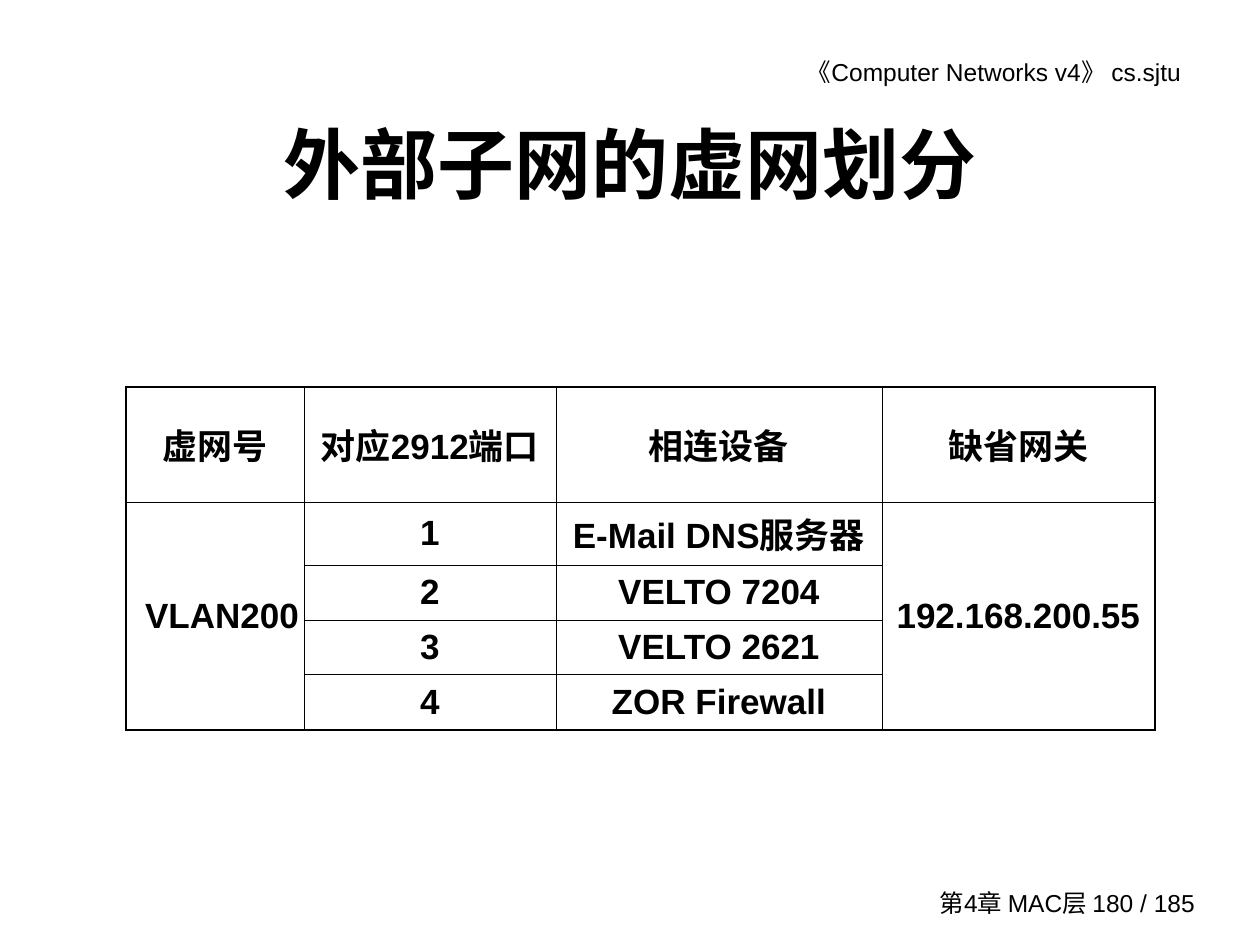
from lxml import etree
from pptx import Presentation
from pptx.dml.color import RGBColor
from pptx.enum.text import MSO_ANCHOR as Anchor, MSO_AUTO_SIZE as AutoSize, PP_ALIGN as Align
from pptx.oxml.ns import qn
from pptx.util import Emu, Pt

EMU_PER_PX = 914400 // 126
BLACK = RGBColor(0x00, 0x00, 0x00)
THIN, THICK = 0.45, 1.08


def px(length):
    return Emu(length * EMU_PER_PX)


class SlideBuilder:
    font_name = "Arial"

    def __init__(self, presentation, layout_index):
        layout = presentation.slide_layouts[layout_index]
        self.slide = presentation.slides.add_slide(layout)

    def format_text(self, frame, text, size, bold=False, align=Align.CENTER):
        paragraph = frame.paragraphs[0]
        paragraph.alignment = align
        run = paragraph.add_run()
        run.text = text
        formats = {"name": self.font_name, "size": Pt(size), "bold": bold}
        for name, value in formats.items():
            setattr(run.font, name, value)
        run.font.color.rgb = BLACK

    def set_margins(self, target, left, top, right, bottom):
        margins = {"left": left, "top": top, "right": right, "bottom": bottom}
        for side, value in margins.items():
            setattr(target, f"margin_{side}", px(value))

    def title(self, text, box, size):
        shape = self.slide.shapes.title
        for name, value in zip(("left", "top", "width", "height"), box):
            setattr(shape, name, px(value))
        frame = shape.text_frame
        frame.auto_size = AutoSize.NONE
        frame.vertical_anchor = Anchor.MIDDLE
        self.set_margins(frame, 3, 1, 3, 1)
        self.format_text(frame, text, size, bold=True)

    def text(self, text, box, size, anchor, auto_size, right_margin=13):
        frame = self.slide.shapes.add_textbox(*map(px, box)).text_frame
        frame.word_wrap = True
        frame.auto_size = auto_size
        frame.vertical_anchor = anchor
        self.set_margins(frame, 13, 6, right_margin, 6)
        self.format_text(frame, text, size, align=Align.RIGHT)

    def cell_borders(self, cell, widths):
        properties = cell._tc.get_or_add_tcPr()
        for position, (tag, width) in enumerate(widths.items()):
            line = etree.Element(qn(f"a:{tag}"), w=str(Pt(width)))
            fill = etree.SubElement(line, qn("a:solidFill"))
            etree.SubElement(fill, qn("a:srgbClr"), val=str(BLACK))
            properties.insert(position, line)

    def table(self, rows, left, top, widths, heights, size, merges, right_aligned):
        row_count, column_count = len(heights), len(widths)
        table = self.slide.shapes.add_table(
            row_count, column_count, px(left), px(top), px(sum(widths)), px(sum(heights))
        ).table
        table.first_row = table.horz_banding = False
        for column, width in zip(table.columns, widths):
            column.width = px(width)
        for row, height in zip(table.rows, heights):
            row.height = px(height)
        for first, last in merges:
            table.cell(*first).merge(table.cell(*last))

        for row, texts in enumerate(rows):
            for column, text in enumerate(texts):
                cell = table.cell(row, column)
                # A merged cell takes its lower border from its last row
                last_row = row + cell.span_height - 1 if cell.is_merge_origin else row
                cell.fill.background()
                cell.vertical_anchor = Anchor.MIDDLE
                is_right = (row, column) in right_aligned
                side = 5 if is_right else 12
                self.set_margins(cell, side, 6, side, 6)
                self.cell_borders(cell, {
                    "lnL": THICK if column == 0 else THIN,
                    "lnR": THICK if column == column_count - 1 else THIN,
                    "lnT": THICK if row == 0 else THIN,
                    "lnB": THICK if last_row == row_count - 1 else THIN,
                })
                if text:
                    align = Align.RIGHT if is_right else Align.CENTER
                    self.format_text(cell.text_frame, text, size, True, align)


def main():
    presentation = Presentation()
    presentation.slide_width, presentation.slide_height = px(1260), px(945)
    builder = SlideBuilder(presentation, 5)

    # Running header and footer
    builder.text("《Computer Networks v4》 cs.sjtu", (675, 51, 533, 43), 14,
                 Anchor.TOP, AutoSize.SHAPE_TO_FIT_TEXT, right_margin=27)
    builder.text("第4章 MAC层 180 / 185", (920, 882, 288, 42), 14,
                 Anchor.MIDDLE, AutoSize.NONE)

    # Title
    builder.title("外部子网的虚网划分", (95, 84, 1071, 158), 44)

    # VLAN table: the first and last columns span all device rows
    rows = [
        ("虚网号", "对应2912端口", "相连设备", "缺省网关"),
        ("VLAN200", "1", "E-Mail DNS服务器", "192.168.200.55"),
        ("", "2", "VELTO 7204", ""),
        ("", "3", "VELTO 2621", ""),
        ("", "4", "ZOR Firewall", ""),
    ]
    builder.table(rows, 126, 387, (178, 252, 326, 273), (115, 63, 55, 55, 55), 20,
                  merges=[((1, column), (4, column)) for column in (0, 3)],
                  right_aligned={(1, 0)})

    presentation.save("out.pptx")


if __name__ == "__main__":
    main()
